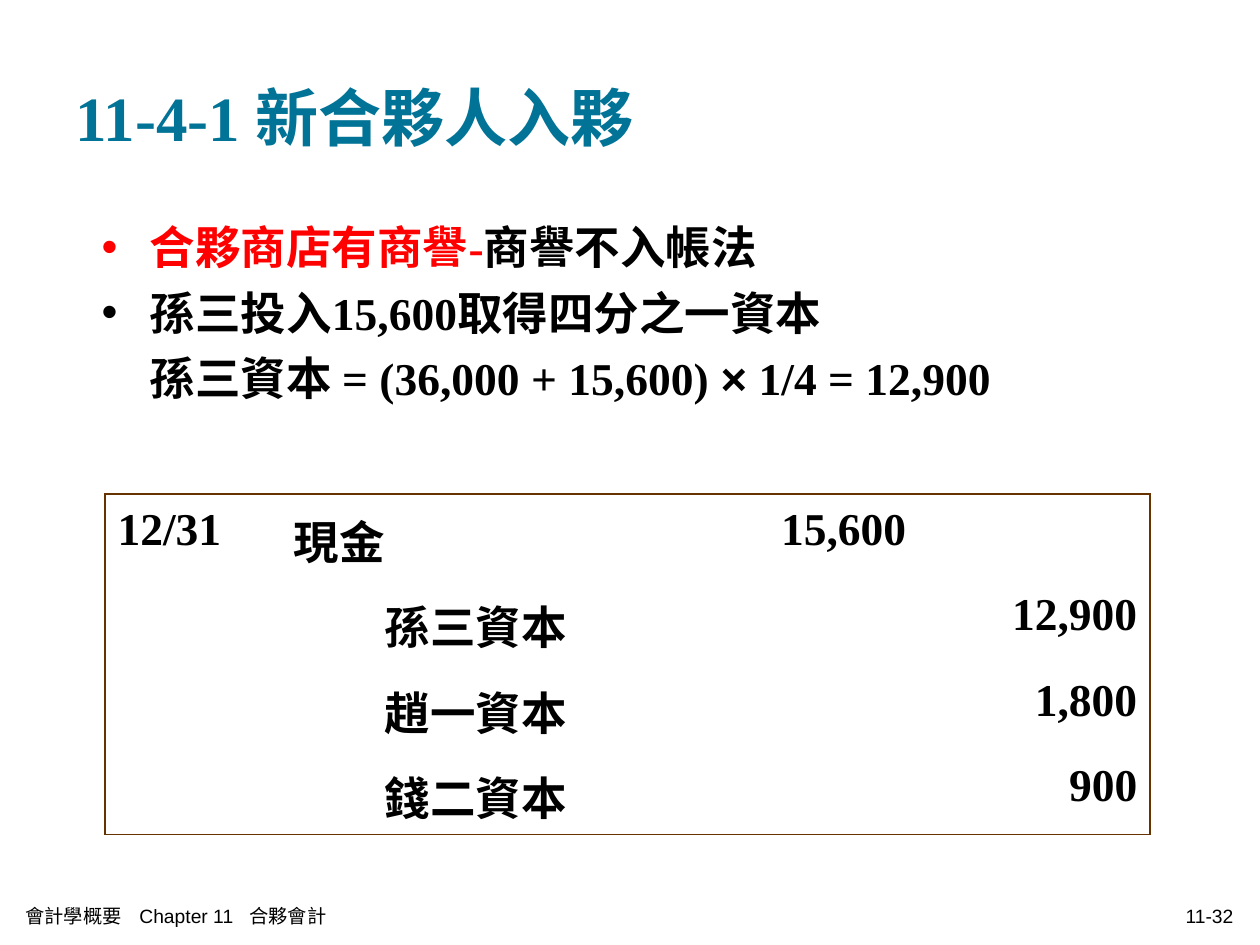
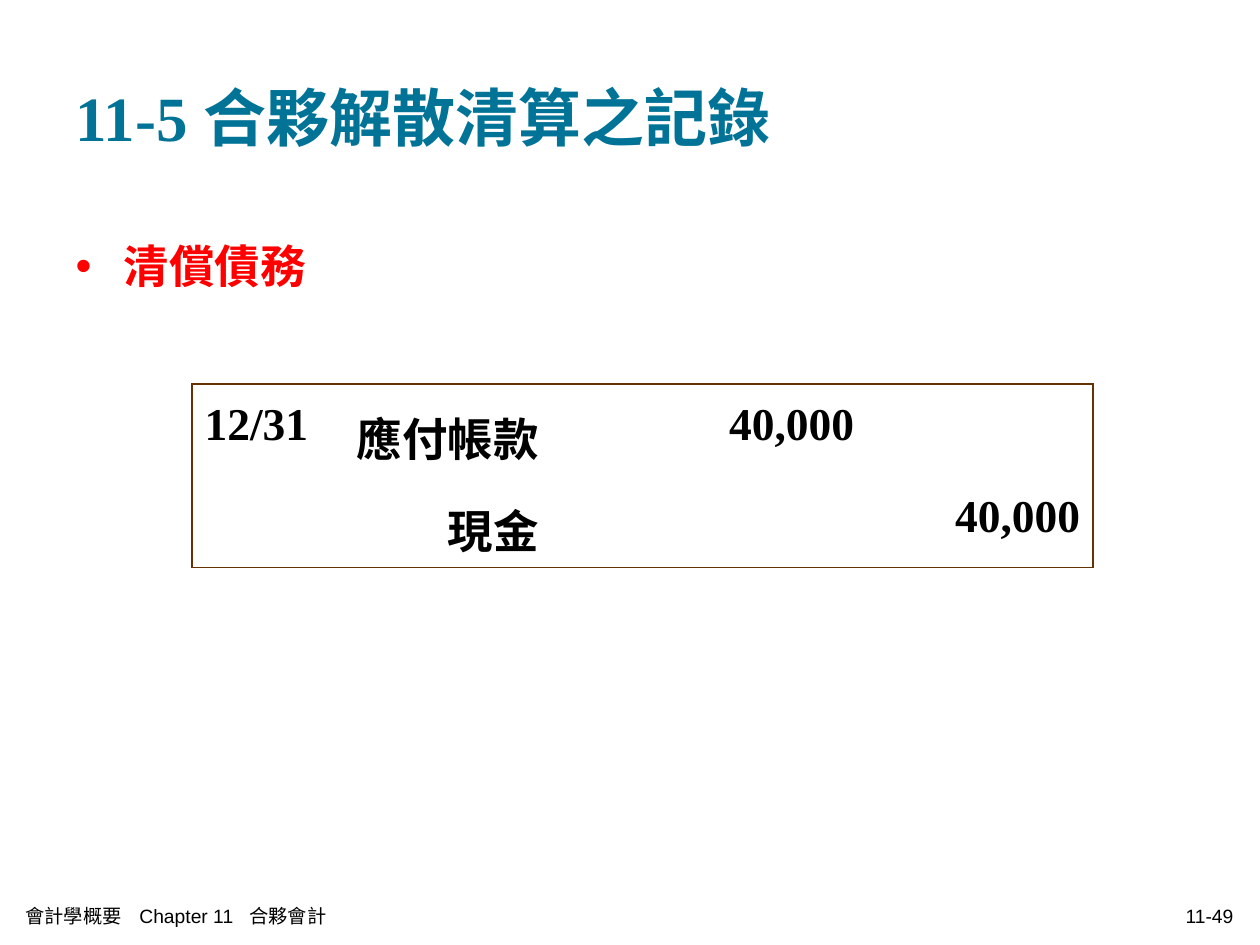
from dataclasses import dataclass

from lxml.etree import SubElement
from pptx import Presentation
from pptx.dml.color import RGBColor
from pptx.enum.text import MSO_ANCHOR, MSO_AUTO_SIZE, PP_ALIGN
from pptx.oxml import parse_xml
from pptx.oxml.ns import nsdecls, qn
from pptx.util import Emu, Pt

SCALE = 914400 / 126
COLORS = {"title": "007396", "accent": "FF0000", "text": "000000", "edge": "663300"}
SERIF, SANS = "Times New Roman", "Arial"
BODY_SIZE, HANG, CREDIT_STEP = 26, 48, 91
FOOT_TOP, FOOT_HIGH = 895, 42


@dataclass(frozen=True)
class Box:
    left: int
    top: int
    width: int
    height: int


@dataclass(frozen=True)
class Piece:
    text: str
    color: str = "text"
    font: str = SERIF


@dataclass(frozen=True)
class Bullet:
    pieces: tuple[Piece, ...]
    marked: bool = True


@dataclass(frozen=True)
class Entry:
    label: str
    debit: str = ""
    credit: str = ""


@dataclass(frozen=True)
class Journal:
    left: int
    top: int
    widths: tuple[int, ...]
    row: int
    spacing: float
    date: str
    entries: tuple[Entry, ...]


@dataclass(frozen=True)
class Page:
    title: str
    number: str
    body: Box
    bullets: tuple[Bullet, ...]
    journal: Journal


TITLE = Box(63, 38, 1134, 157)
FOOTER = Box(13, FOOT_TOP, 643, FOOT_HIGH)
NUMBER = Box(853, FOOT_TOP, 393, FOOT_HIGH)
FOOTER_TEXT = "會計學概要\tChapter 11\t合夥會計"
FOOTER_TABS = (114, 224)

PAGES = (
    Page(
        "11-4-1 新合夥人入夥",
        "11-32",
        Box(89, 202, 1095, 272),
        (
            Bullet((Piece("合夥商店有商譽-", "accent"), Piece("商譽不入帳法"))),
            Bullet((Piece("孫三投入15,600取得四分之一資本"),)),
            Bullet(
                (
                    Piece("孫三資本 = (36,000 + 15,600) "),
                    Piece("×", font=SANS),
                    Piece(" 1/4 = 12,900"),
                ),
                marked=False,
            ),
        ),
        Journal(
            105, 494, (176, 417, 221, 231), 73, 1.1, "12/31",
            (
                Entry("現金", debit="15,600"),
                Entry("孫三資本", credit="12,900"),
                Entry("趙一資本", credit="1,800"),
                Entry("錢二資本", credit="900"),
            ),
        ),
    ),
    Page(
        "11-5 合夥解散清算之記錄",
        "11-49",
        Box(63, 221, 1134, 624),
        (Bullet((Piece("清償債務", "accent"),)),),
        Journal(
            192, 384, (152, 268, 255, 226), 78, 1.2, "12/31",
            (Entry("應付帳款", debit="40,000"), Entry("現金", credit="40,000")),
        ),
    ),
)


def px(value: int) -> Emu:
    """Turn pixels into EMU."""
    return Emu(round(value * SCALE))


def place(shape, box: Box) -> None:
    """Move and size a shape."""
    shape.left, shape.top = px(box.left), px(box.top)
    shape.width, shape.height = px(box.width), px(box.height)


def style(run, size: int, color: str = "text", font: str = SERIF, bold: bool = True) -> None:
    """Format one run."""
    run.font.size, run.font.name, run.font.bold = Pt(size), font, bold
    run.font.color.rgb = RGBColor.from_string(COLORS[color])


def indent(para, left: int, first: int = 0) -> None:
    """Set the left margin and first-line indent of a paragraph."""
    props = para._p.get_or_add_pPr()
    props.set("marL", str(px(left)))
    props.set("indent", str(px(first)))


def add_title(slide, text: str) -> None:
    """Fill the title placeholder."""
    title = slide.shapes.title
    place(title, TITLE)
    frame = title.text_frame
    frame.text = text
    frame.auto_size = MSO_AUTO_SIZE.NONE
    frame.vertical_anchor = MSO_ANCHOR.MIDDLE
    frame.paragraphs[0].alignment = PP_ALIGN.LEFT
    style(frame.paragraphs[0].runs[0], 36, "title")


def add_body(slide, box: Box, bullets: tuple[Bullet, ...]) -> None:
    """Fill the body placeholder with a list."""
    body = slide.placeholders[1]
    place(body, box)
    frame = body.text_frame
    frame.auto_size = MSO_AUTO_SIZE.NONE
    for index, bullet in enumerate(bullets):
        para = frame.add_paragraph() if index else frame.paragraphs[0]
        indent(para, HANG, -HANG if bullet.marked else 0)
        props = para._p.get_or_add_pPr()
        if bullet.marked:
            tint = SubElement(props, qn("a:buClr"))
            SubElement(tint, qn("a:srgbClr"), val=COLORS[bullet.pieces[0].color])
            SubElement(props, qn("a:buChar"), char="•")
        else:
            SubElement(props, qn("a:buNone"))
        para.line_spacing, para.space_before = 1.2, Pt(0)
        for piece in bullet.pieces:
            run = para.add_run()
            run.text = piece.text
            style(run, BODY_SIZE, piece.color, piece.font)


def add_label(slide, box: Box, text: str, align, tabs: tuple[int, ...] = ()) -> None:
    """Add one small line of footer text."""
    label = slide.shapes.add_textbox(0, 0, 0, 0)
    place(label, box)
    frame = label.text_frame
    frame.word_wrap = True
    frame.vertical_anchor = MSO_ANCHOR.MIDDLE
    para = frame.paragraphs[0]
    para.text = text
    para.alignment = align
    if tabs:
        stops = SubElement(para._p.get_or_add_pPr(), qn("a:tabLst"))
        for tab in tabs:
            SubElement(stops, qn("a:tab"), pos=str(px(tab)), algn="l")
    for run in para.runs:
        style(run, 11, font=SANS, bold=False)


def edge(cell, sides: dict[str, bool]) -> None:
    """Draw the chosen sides of a cell and clear the others."""
    props = cell._tc.get_or_add_tcPr()
    for index, (side, shown) in enumerate(sides.items()):
        fill = f'<a:solidFill><a:srgbClr val="{COLORS["edge"]}"/></a:solidFill>'
        line = f'<a:{side} {nsdecls("a")} w="{Pt(1.08)}">{fill if shown else "<a:noFill/>"}</a:{side}>'
        props.insert(index, parse_xml(line))


def add_journal(slide, journal: Journal) -> None:
    """Add a framed table of journal entries."""
    rows, cols = len(journal.entries), len(journal.widths)
    table = slide.shapes.add_table(
        rows, cols, px(journal.left), px(journal.top),
        px(sum(journal.widths)), px(journal.row * rows),
    ).table
    table.first_row = table.horz_banding = False
    for column, width in zip(table.columns, journal.widths):
        column.width = px(width)
    for row, entry in enumerate(journal.entries):
        table.rows[row].height = px(journal.row)
        date = "" if row else journal.date
        for col, text in enumerate((date, entry.label, entry.debit, entry.credit)):
            cell = table.cell(row, col)
            cell.fill.background()
            edge(cell, {"lnL": col == 0, "lnR": col == cols - 1,
                        "lnT": row == 0, "lnB": row == rows - 1})
            if not text:
                continue
            cell.text_frame.text = text
            para = cell.text_frame.paragraphs[0]
            para.line_spacing = journal.spacing
            para.alignment = PP_ALIGN.RIGHT if col > 1 else PP_ALIGN.LEFT
            if col == 1 and entry.credit:
                indent(para, CREDIT_STEP)
            style(para.runs[0], BODY_SIZE)


def main() -> None:
    """Build and save the slides."""
    deck = Presentation()
    deck.slide_width, deck.slide_height = px(1260), px(945)
    for page in PAGES:
        slide = deck.slides.add_slide(deck.slide_layouts[1])
        add_title(slide, page.title)
        add_body(slide, page.body, page.bullets)
        add_journal(slide, page.journal)
        add_label(slide, FOOTER, FOOTER_TEXT, PP_ALIGN.LEFT, FOOTER_TABS)
        add_label(slide, NUMBER, page.number, PP_ALIGN.RIGHT)
    deck.save("out.pptx")


if __name__ == "__main__":
    main()
